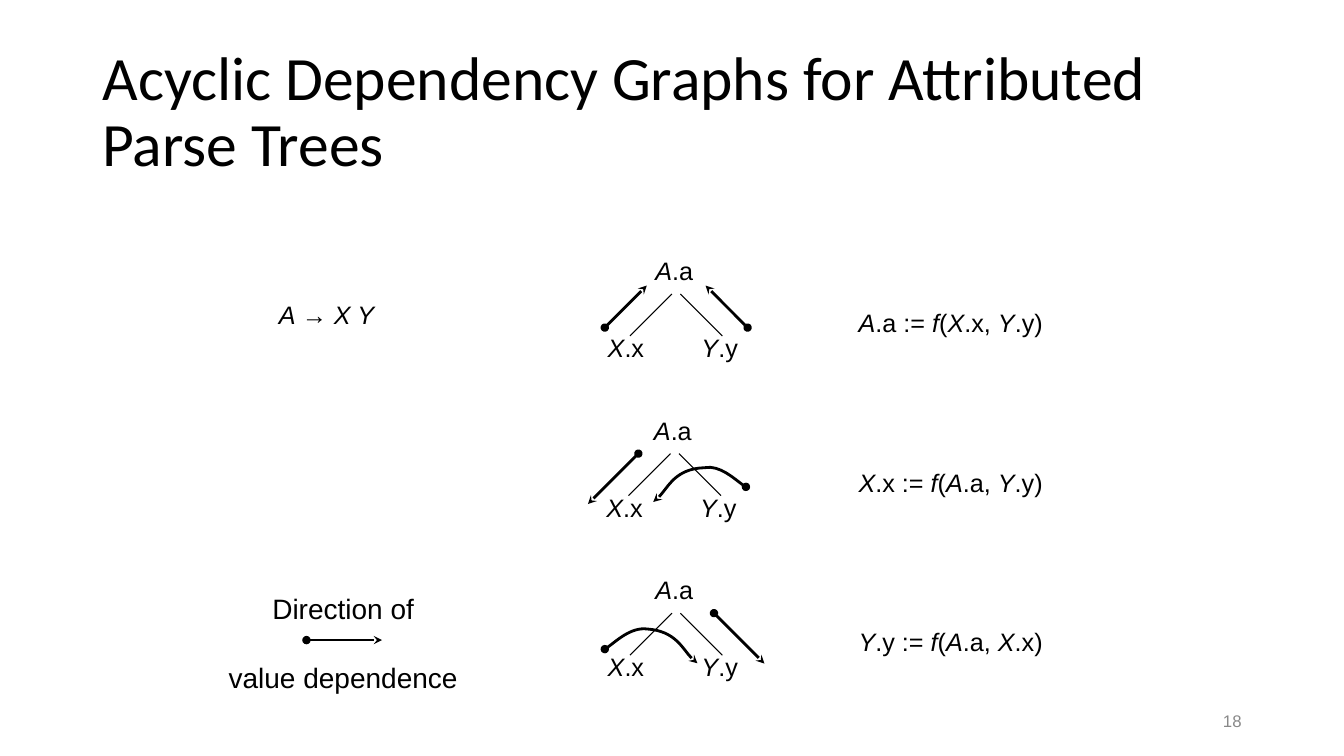
from dataclasses import dataclass

import pptx
import pptx.dml.color
import pptx.enum.shapes
import pptx.enum.text
import pptx.oxml.ns
import pptx.util
from lxml import etree

Pt = pptx.util.Pt
Align = pptx.enum.text.PP_ALIGN
Anchor = pptx.enum.text.MSO_ANCHOR
qn = pptx.oxml.ns.qn


@dataclass(frozen=True)
class Theme:
    black: str = "000000"
    grey: str = "898989"
    title_font: str = "Calibri"
    body_font: str = "Arial"
    title_size: float = 44
    legend_size: float = 20
    body_size: float = 18
    number_size: float = 12
    branch_width: float = 0.75
    arrow_width: float = 2


THEME = Theme()
LABEL_HEIGHT = 29


def add_runs(paragraph, text, size, font=THEME.body_font, color=THEME.black):
    """Add runs; parts between asterisks are italic."""
    for index, part in enumerate(text.split("*")):
        if part:
            run = paragraph.add_run()
            run.text = part
            run.font.name = font
            run.font.size = Pt(size)
            run.font.italic = index % 2 == 1
            run.font.color.rgb = pptx.dml.color.RGBColor.from_string(color)


def add_text(slide, box, lines, size=THEME.body_size, color=THEME.black,
             align=Align.LEFT, anchor=Anchor.TOP, wrap=False, gap=0):
    text_box = slide.shapes.add_textbox(*map(Pt, box))
    frame = text_box.text_frame
    frame.word_wrap = wrap
    frame.vertical_anchor = anchor
    for index, line in enumerate(lines):
        paragraph = frame.add_paragraph() if index else frame.paragraphs[0]
        paragraph.alignment = align
        if index:
            paragraph.space_before = Pt(gap)
        add_runs(paragraph, line, size, color=color)


def style_line(shape, width, arrow):
    shape.line.color.rgb = pptx.dml.color.RGBColor.from_string(THEME.black)
    shape.line.width = Pt(width)
    properties = shape.element.spPr
    if arrow:
        outline = properties.find(qn("a:ln"))
        etree.SubElement(outline, qn("a:headEnd"), type="oval")
        etree.SubElement(outline, qn("a:tailEnd"), type="stealth")
    etree.SubElement(properties, qn("a:effectLst"))


def add_line(slide, start, end, width=THEME.arrow_width, arrow=True):
    connector = slide.shapes.add_connector(
        pptx.enum.shapes.MSO_CONNECTOR.STRAIGHT, *map(Pt, (*start, *end)))
    style_line(connector, width, arrow)


def add_curve(slide, points):
    """Draw cubic segments: a start, then two controls and an end for each."""
    start, *rest = [(Pt(x), Pt(y)) for x, y in points]
    builder = slide.shapes.build_freeform(*start)
    builder.add_line_segments(rest, close=False)
    curve = builder.convert_to_shape()
    curve.fill.background()
    style_line(curve, THEME.arrow_width, True)
    segments = curve.element.xpath(".//a:lnTo")
    for first in range(0, len(segments), 3):
        bezier = etree.Element(qn("a:cubicBezTo"))
        segments[first].addprevious(bezier)
        for segment in segments[first:first + 3]:
            bezier.append(segment[0])
            segment.getparent().remove(segment)


def add_title(slide, box, text):
    title = slide.shapes.title
    title.left, title.top, title.width, title.height = map(Pt, box)
    frame = title.text_frame
    frame.word_wrap = True
    frame.auto_size = pptx.enum.text.MSO_AUTO_SIZE.NONE
    frame.vertical_anchor = Anchor.MIDDLE
    paragraph = frame.paragraphs[0]
    paragraph.alignment = Align.LEFT
    paragraph.line_spacing = 0.9
    add_runs(paragraph, text, THEME.title_size, THEME.title_font)


def add_tree(slide, left, top, dependencies):
    """Draw one parse tree; each dependency has two points or a curve's seven."""
    for label, x, y, width in (("*A*.a", 34, 0, 41.8), ("*X*.x", 0, 55.2, 41),
                               ("*Y*.y", 67, 55.2, 41)):
        add_text(slide, (left + x, top + y, width, LABEL_HEIGHT), [label])
    for start_x, end_x in ((53, 23), (59, 89)):
        add_line(slide, (left + start_x, top + 31.2), (left + end_x, top + 61.2),
                 THEME.branch_width, arrow=False)
    for dependency in dependencies:
        points = [(left + x, top + y) for x, y in dependency]
        if len(points) == 2:
            add_line(slide, *points)
        else:
            add_curve(slide, points)


def add_legend(slide, left, top, width, height):
    add_text(slide, (left, top, width, height), ["Direction of", "value dependence"],
             THEME.legend_size, align=Align.CENTER, gap=25)
    add_line(slide, (left + 63.4, top + 38.2), (left + 117.4, top + 38.2))


# Rows: tree left edge, equation, dependencies relative to the tree's corner
ROWS = (
    (427, "*A*.a := *f*(*X*.x, *Y*.y)",
     (((5, 55.2), (35, 25.2)), ((107, 55.2), (77, 25.2)))),
    (426, "*X*.x := *f*(*A*.a, *Y*.y)",
     (((30, 31.2), (-6, 67.2)),
      ((106.8, 55), (102.5, 52.8), (88.1, 39.1), (77.3, 41.3),
       (56.4, 42), (48.5, 60.7), (40.6, 65.8)))),
    (427, "*Y*.y := *f*(*A*.a, *X*.x)",
     (((5, 56.9), (10, 54), (23.7, 41), (35.2, 42.5),
       (55.4, 43.9), (63.3, 61.9), (71.2, 67)),
      ((83, 31.2), (119, 67.2)))),
)
FIRST_ROW_TOP = 178.8
ROW_PITCH = 114


def add_graph_slide(presentation):
    slide = presentation.slides.add_slide(presentation.slide_layouts[5])
    add_title(slide, (66, 28.8, 828, 104.4),
              "Acyclic Dependency Graphs for Attributed Parse Trees")

    # Production and legend on the left
    add_text(slide, (192.2, 210.2, 83.5, LABEL_HEIGHT), ["*A *→ *X Y*"])
    add_legend(slide, 155.5, 419, 179.3, 80)

    # Trees with their equations
    for index, (left, equation, dependencies) in enumerate(ROWS):
        top = FIRST_ROW_TOP + index * ROW_PITCH
        add_tree(slide, left, top, dependencies)
        add_text(slide, (606.2, top + 37.2, 147.6, LABEL_HEIGHT), [equation])

    # Slide number
    add_text(slide, (678, 500.5, 216, 28.8), ["18"], THEME.number_size, THEME.grey,
             Align.RIGHT, Anchor.MIDDLE, wrap=True)


def main():
    presentation = pptx.Presentation()
    presentation.slide_width = Pt(960)
    presentation.slide_height = Pt(540)
    add_graph_slide(presentation)
    presentation.save("out.pptx")


if __name__ == "__main__":
    main()
